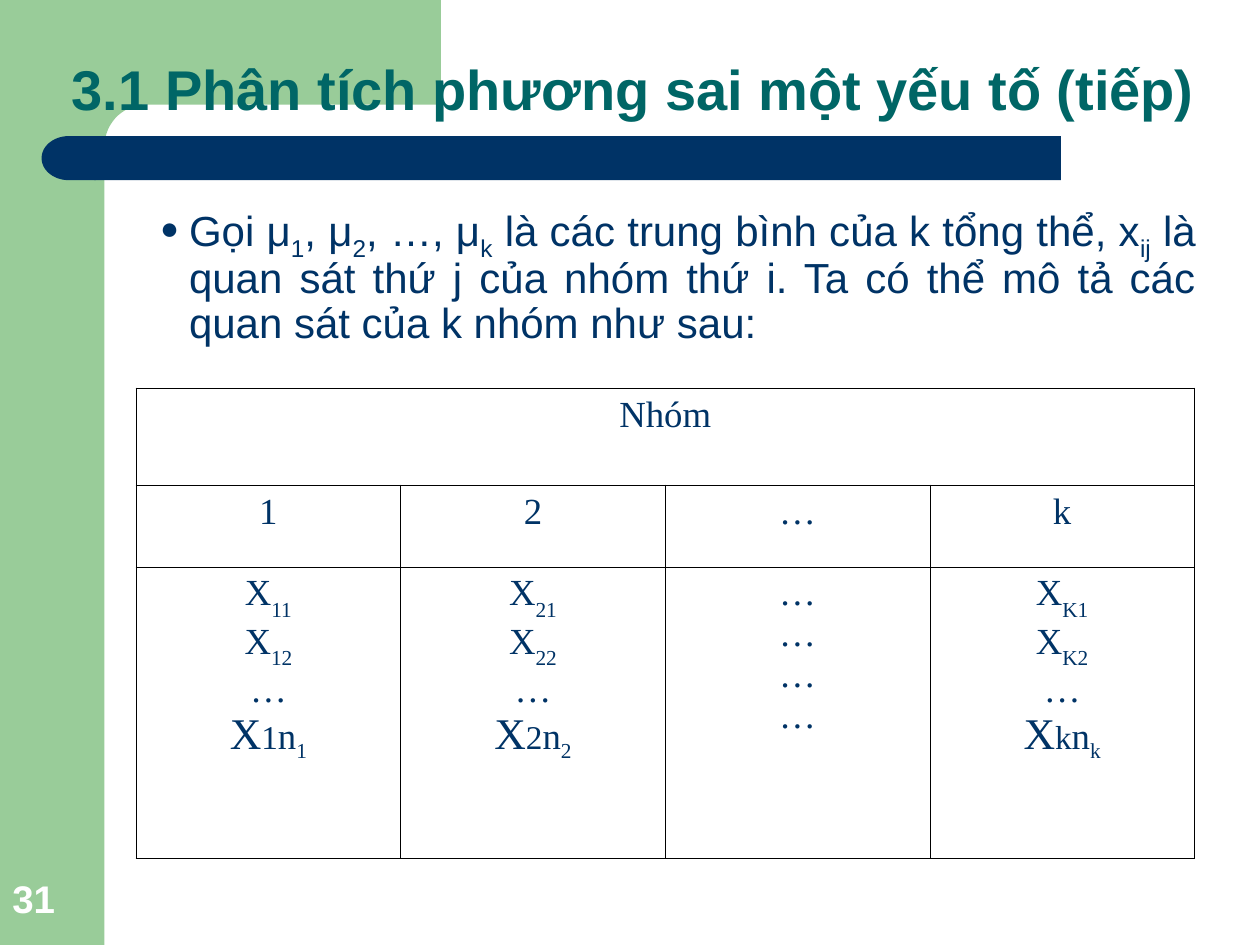
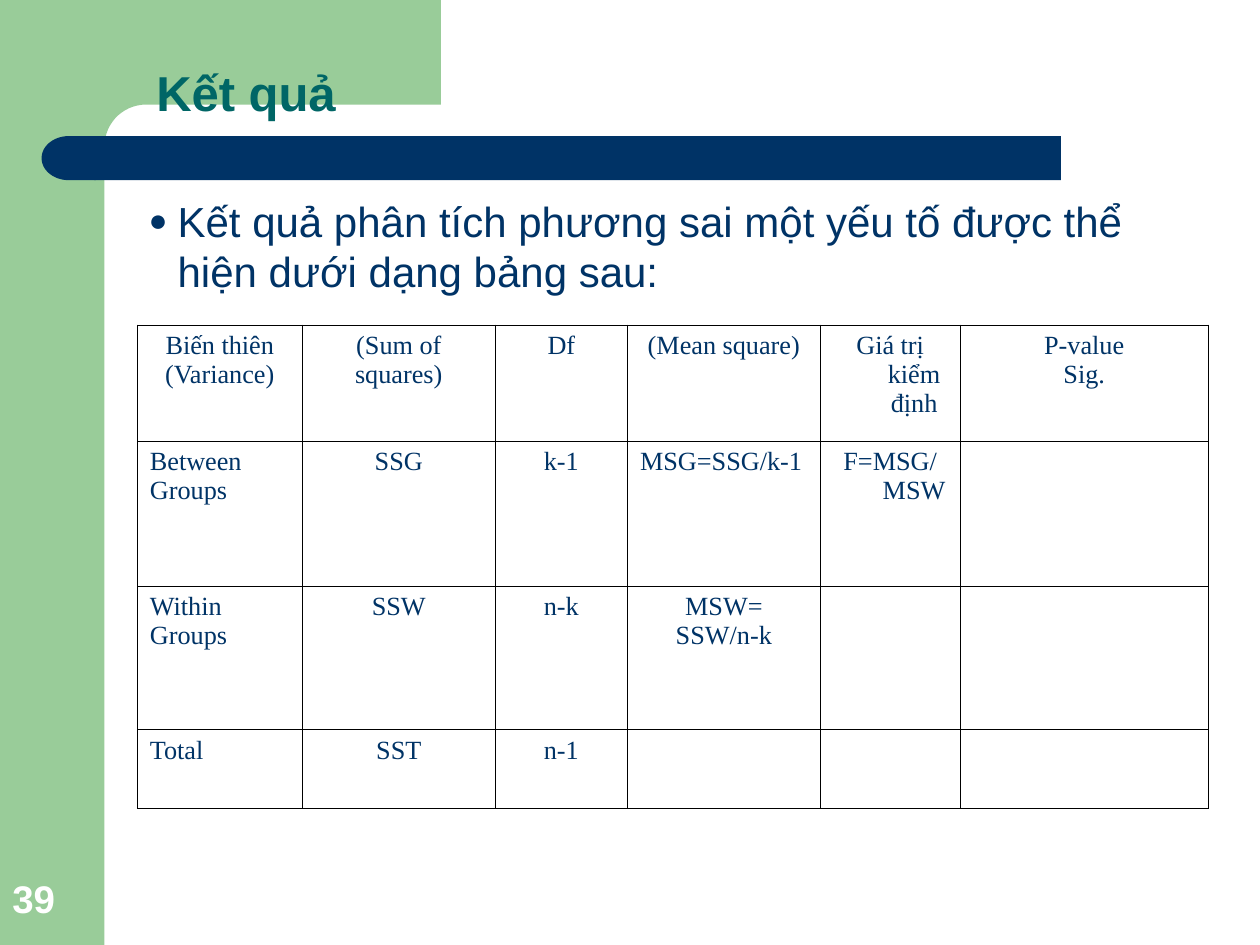
from math import cos, radians, sin

from lxml import etree
from pptx import Presentation
from pptx.dml.color import RGBColor
from pptx.enum.shapes import MSO_SHAPE
from pptx.enum.text import MSO_ANCHOR, MSO_AUTO_SIZE, PP_ALIGN
from pptx.oxml.ns import qn
from pptx.util import Inches, Pt

GREEN = RGBColor(0x99, 0xCC, 0x99)
NAVY = RGBColor(0x00, 0x33, 0x66)
TEAL = RGBColor(0x00, 0x66, 0x66)
WHITE = RGBColor(0xFF, 0xFF, 0xFF)
BLACK = RGBColor(0x00, 0x00, 0x00)

RECT, DELAY = MSO_SHAPE.RECTANGLE, MSO_SHAPE.FLOWCHART_DELAY
LEFT, MID, FULL = PP_ALIGN.LEFT, PP_ALIGN.CENTER, PP_ALIGN.JUSTIFY
TOP, LOW = MSO_ANCHOR.TOP, MSO_ANCHOR.BOTTOM
NO_FIT = MSO_AUTO_SIZE.NONE

SANS, SERIF = "Arial", "Times New Roman"
HANG = 0.38
SUB = -30


def sub(text, base=-25):
    """A lowered run."""
    return text, {}, base


def add(parent, tag, **attrs):
    node = etree.SubElement(parent, qn(tag))
    for key, val in attrs.items():
        node.set(key, str(val))
    return node


class Deck:
    """Holds the style and the current slide."""

    def __init__(self):
        self.prs = Presentation()
        self.prs.slide_width = Inches(10)
        self.prs.slide_height = Inches(7.5)
        self.slide = None

    def start(self, number):
        self.slide = self.prs.slides.add_slide(self.prs.slide_layouts[1])
        # Green side band and corner with a rounded inner edge
        self.shape(RECT, (0, 0, 0.83, 7.5), GREEN)
        self.corner()
        # Navy bar with a round left end
        self.shape(RECT, (0.75, 1.08, 7.67, 0.35), NAVY)
        self.shape(DELAY, (0.33, 1.08, 0.43, 0.35), NAVY).rotation = 180
        # Slide number
        box = self.slide.shapes.add_textbox(*map(Inches, (0, 6.83, 0.91, 0.53)))
        font = {"size": Pt(22), "name": SANS, "bold": True}
        self.fill(self.frame(box, LOW).paragraphs[0], [number], font, WHITE)

    def paint(self, shape, color):
        shape.shadow.inherit = False
        shape.fill.solid()
        shape.fill.fore_color.rgb = color
        shape.line.fill.background()
        return shape

    def shape(self, kind, box, color):
        item = self.slide.shapes.add_shape(kind, *map(Inches, box))
        return self.paint(item, color)

    def corner(self):
        mid, rad = 1.16, 0.33
        arc = [(mid + rad * cos(radians(a)), mid - rad * sin(radians(a)))
               for a in range(90, 181, 6)]
        pts = [(3.5, 0), (3.5, 0.83), *arc, (0.83, 1.28), (0.5, 1.28), (0.5, 0)]
        pts = [(Inches(x), Inches(y)) for x, y in pts]
        edge = self.slide.shapes.build_freeform(*pts[0])
        edge.add_line_segments(pts[1:])
        self.paint(edge.convert_to_shape(), GREEN)

    def frame(self, shape, anchor):
        frame = shape.text_frame
        fmt = {"word_wrap": True, "auto_size": NO_FIT, "vertical_anchor": anchor,
               "margin_left": Inches(0.1), "margin_right": Inches(0.1),
               "margin_top": Inches(0.05), "margin_bottom": Inches(0.05)}
        for key, val in fmt.items():
            setattr(frame, key, val)
        return frame

    def fill(self, para, runs, font, color, **fmt):
        """Put formatted runs into a paragraph."""
        for key, val in fmt.items():
            setattr(para, key, val)
        for item in runs:
            text, more, base = (item, {}, 0) if isinstance(item, str) else item
            run = para.add_run()
            run.text = text
            for key, val in {**font, **more}.items():
                setattr(run.font, key, val)
            run.font.color.rgb = color
            if base:
                run.font._element.set("baseline", str(base * 1000))

    def holder(self, index, box, anchor):
        """Move a placeholder, bring it to the front, return its paragraph."""
        item = self.slide.placeholders[index]
        item.left, item.top, item.width, item.height = map(Inches, box)
        self.slide.shapes._spTree.append(item._element)
        return self.frame(item, anchor).paragraphs[0]

    def title(self, text, left, size):
        para = self.holder(0, (left, 0.22, 9.77 - left, 0.8), LOW)
        font = {"size": Pt(size), "name": SANS, "bold": True}
        self.fill(para, [text], font, TEAL, alignment=LEFT, line_spacing=0.9)

    def bullet(self, runs, box, align, pitch):
        para = self.holder(1, box, TOP)
        props = para._p.get_or_add_pPr()
        self.indent(para, 0.23)
        add(add(props, "a:buClr"), "a:srgbClr", val=NAVY)
        add(props, "a:buSzPct", val=75000)
        add(props, "a:buFont", typeface=SANS)
        add(props, "a:buChar", char="●")
        self.fill(para, runs, {"size": Pt(24), "name": SANS}, NAVY,
                  alignment=align, line_spacing=pitch, space_before=Pt(0))

    def indent(self, para, size):
        props = para._p.get_or_add_pPr()
        props.set("marL", str(Inches(size)))
        props.set("indent", str(-Inches(size)))

    def border(self, cell):
        props = cell._tc.get_or_add_tcPr()
        for side in ("a:lnL", "a:lnR", "a:lnT", "a:lnB"):
            line = add(props, side, w=Pt(0.45))
            add(add(line, "a:solidFill"), "a:srgbClr", val=BLACK)

    def table(self, spot, cols, rows, cells, size, align, hang):
        """Each cell is a list of lines, each line a list of runs."""
        box = (*spot, sum(cols), sum(rows))
        grid = self.slide.shapes.add_table(
            len(rows), len(cols), *map(Inches, box)).table
        grid.first_row = grid.horz_banding = False
        for col, width in zip(grid.columns, cols):
            col.width = Inches(width)
        for row, height in zip(grid.rows, rows):
            row.height = Inches(height)
        font = {"size": Pt(size), "name": SERIF}
        for r in range(len(rows)):
            for c in range(len(cols)):
                cell = grid.cell(r, c)
                self.border(cell)
                cell.fill.background()
                lines = cells[r][c] if c < len(cells[r]) else []
                for i, runs in enumerate(lines):
                    frame = cell.text_frame
                    para = frame.add_paragraph() if i else frame.paragraphs[0]
                    self.indent(para, hang(r, c))
                    self.fill(para, runs, font, NAVY, alignment=align(r, c))
        return grid


def group(mark, last):
    """The observations of one group."""
    return [["X", sub(mark + "1", SUB)], ["X", sub(mark + "2", SUB)], ["…"],
            [("X", {"size": Pt(25)}, 0), (last, {"size": Pt(19)}, 0),
             "n", sub(last)]]


def plain(*texts):
    """Cells from strings, with one line of text for each line break."""
    return [[[line] for line in text.split("\n")] if text else []
            for text in texts]


def groups(deck):
    deck.start("31")
    cells = [plain("Nhóm"),
             plain("1", "2", "…", "k"),
             [group("1", "1"), group("2", "2"), [["…"]] * 4, group("K", "k")]]
    grid = deck.table((1.08, 3.08), [2.1] * 4, [0.77, 0.65, 2.31], cells, 21,
                      lambda r, c: MID, lambda r, c: HANG)
    grid.cell(0, 0).merge(grid.cell(0, 3))
    deck.bullet(["Gọi μ", sub("1"), ", μ", sub("2"), ", …, μ", sub("k"),
                 " là các trung bình của k tổng thể, x", sub("ij"),
                 " là quan sát thứ j của nhóm thứ i. Ta có thể mô tả các "
                 "quan sát của k nhóm như sau:"],
                (1.17, 1.58, 8.42, 1.23), FULL, 0.9)
    deck.title("3.1 Phân tích phương sai một yếu tố (tiếp)", 0.47, 32)


def results(deck):
    deck.start("39")
    cells = [plain("Biến thiên\n(Variance)", "(Sum of squares)", "Df",
                   "(Mean square)", "Giá trị kiểm định", "P-value\nSig."),
             plain("Between Groups", "SSG", "k-1", "MSG=SSG/k-1", "F=MSG/MSW"),
             plain("Within Groups", "SSW", "n-k", "MSW=\nSSW/n-k"),
             plain("Total", "SST", "n-1")]

    def align(r, c):
        if r and c == 0:
            return FULL
        return LEFT if (r, c) == (1, 3) else MID

    deck.table((1.09, 2.58), [1.31, 1.53, 1.05, 1.53, 1.11, 1.97],
               [0.92, 1.15, 1.14, 0.63], cells, 15, align,
               lambda r, c: HANG if c > 1 else 0)
    deck.bullet(["Kết quả phân tích phương sai một yếu tố được thể hiện "
                 "dưới dạng bảng sau:"], (1.08, 1.5, 8.17, 0.9), LEFT, 1.0)
    deck.title("Kết quả", 1.14, 28)


def main():
    deck = Deck()
    groups(deck)
    results(deck)
    deck.prs.save("out.pptx")


if __name__ == "__main__":
    main()
